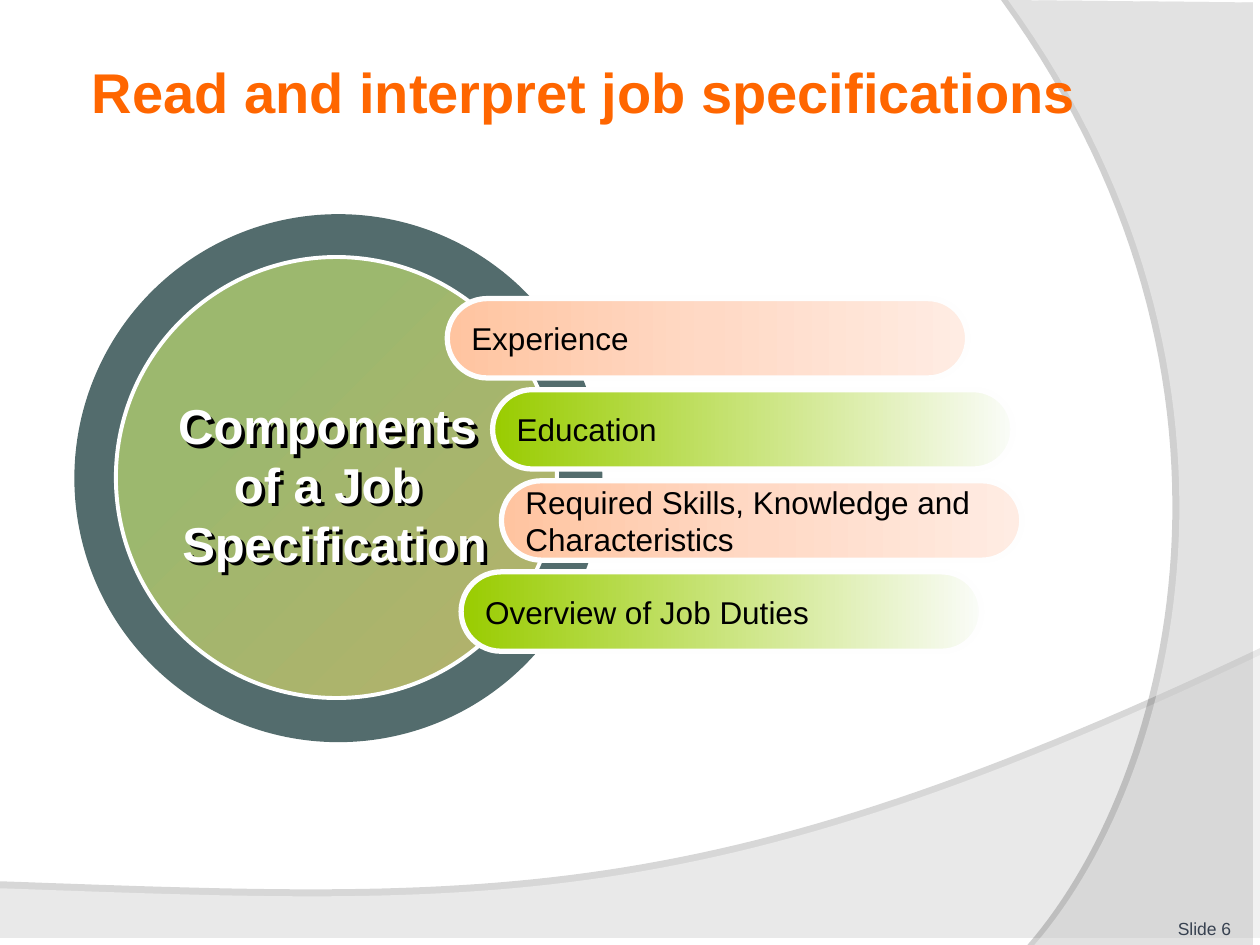
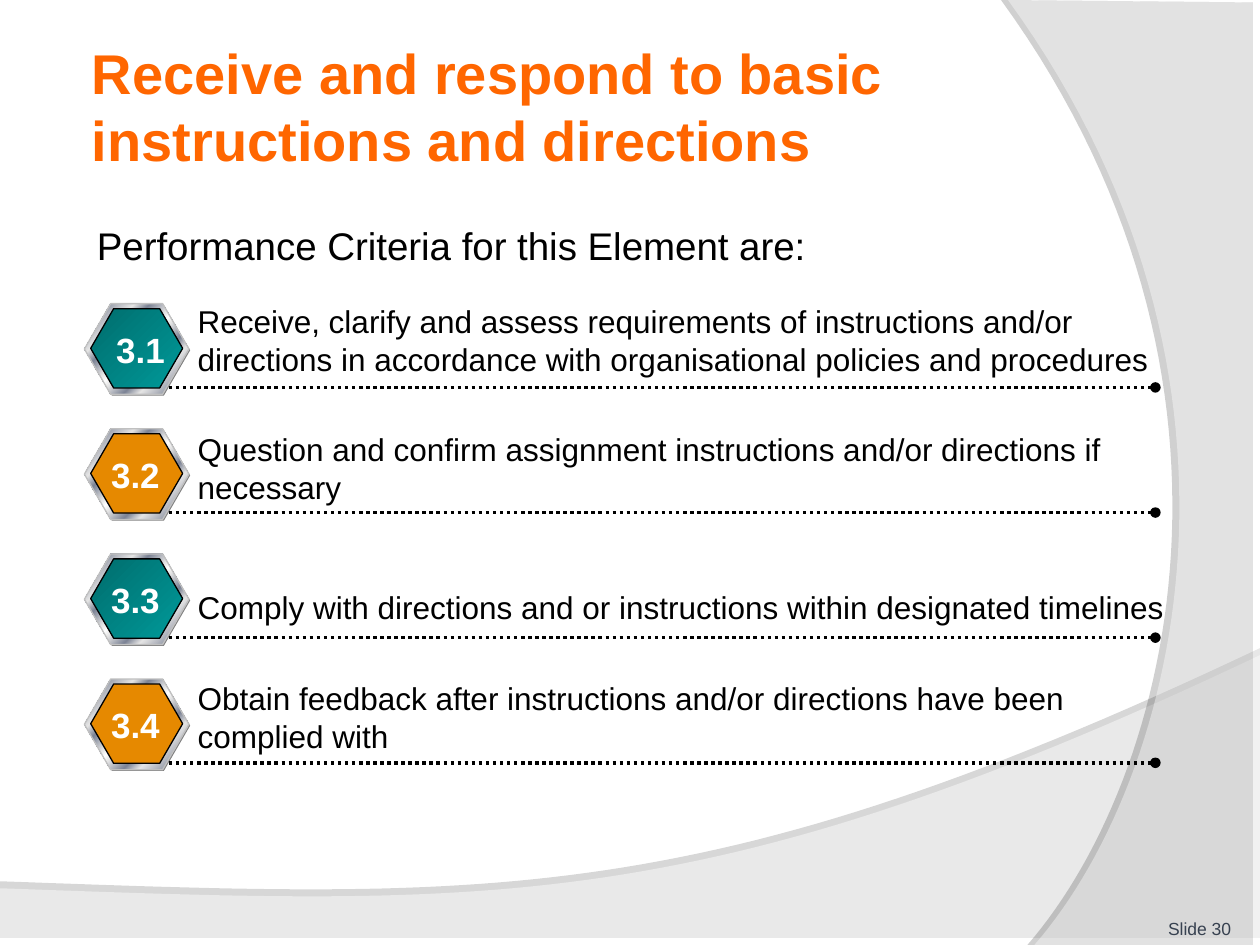
from collections import namedtuple

from lxml import etree
from pptx import Presentation
from pptx.dml.color import RGBColor
from pptx.enum.dml import MSO_LINE
from pptx.enum.shapes import MSO_CONNECTOR, MSO_SHAPE
from pptx.enum.text import MSO_ANCHOR, PP_ALIGN
from pptx.oxml.ns import qn
from pptx.util import Inches, Pt

COLOURS = {
    "white": "FFFFFF", "black": "000000", "title": "FF6600", "footer": "374150",
    "ring": "536C6D", "leaf": "9CB86E", "khaki": "B5B16B", "bar_edge": "FEFEFE",
    "peach": "FFC4A0", "peach_mid": "FFD9C5", "peach_end": "FFECE3",
    "lime": "99CC00", "lime_end": "FAFCF8", "hex_shadow": "808080",
    "hex_edge": "C0C0C0", "silver": "E6E6E6", "steel": "7D8496",
    "teal": "006D6D", "teal_end": "009999", "orange": "E68900",
}
PEACH_FADE = [(0, "peach"), (50, "peach_mid"), (100, "peach_end")]
LIME_FADE = [(0, "lime"), (100, "lime_end")]
DISC_FADE = [(0, "leaf"), (30, "leaf"), (100, "khaki")]
TEAL_FADE = [(0, "teal"), (100, "teal_end")]
METAL = [(0, "silver"), (8, "steel"), (26, "silver"), (34, "steel"),
         (46, "silver"), (50, "white"), (54, "silver"), (66, "steel"),
         (74, "silver"), (92, "steel"), (100, "silver")]

FONT = "Arial"
LEFT, CENTRE, RIGHT = PP_ALIGN.LEFT, PP_ALIGN.CENTER, PP_ALIGN.RIGHT
TOP, MIDDLE, BOTTOM = MSO_ANCHOR.TOP, MSO_ANCHOR.MIDDLE, MSO_ANCHOR.BOTTOM
DONUT, OVAL = MSO_SHAPE.DONUT, MSO_SHAPE.OVAL
PILL, HEXAGON = MSO_SHAPE.ROUNDED_RECTANGLE, MSO_SHAPE.HEXAGON
STRAIGHT, DOTS = MSO_CONNECTOR.STRAIGHT, MSO_LINE.ROUND_DOT

WIDTH, HEIGHT = Inches(10), Inches(7.5)
COLUMNS, ROWS = 100, 75
PLAIN_INSETS = (0.1, 0.05, 0.1, 0.05)
TITLE_INSETS = (0.06, 0.06, 0.04, 0.06)
BODY_INSETS = (0.1, 0.06, 0.14, 0.06)


def across(columns):
    return round(WIDTH * columns / COLUMNS)


def down(rows):
    return round(HEIGHT * rows / ROWS)


class Box(namedtuple("Box", "left top width height")):
    """A rectangle in grid columns and rows."""

    def inner(self, left, top, width, height):
        return Box(self.left + left, self.top + top, width, height)

    def lengths(self):
        return (across(self.left), down(self.top),
                across(self.width), down(self.height))


def rgb(name):
    return RGBColor.from_string(COLOURS[name])


def paint(shape, fill, edge=None, weight=0, angle=0):
    """Fill with a colour name or a list of gradient stops, then outline."""
    shape.shadow.inherit = False
    if isinstance(fill, str):
        shape.fill.solid()
        shape.fill.fore_color.rgb = rgb(fill)
    else:
        shape.fill.gradient()
        gradient = shape.element.spPr.find(qn("a:gradFill"))
        gradient.find(qn("a:lin")).set("ang", str(angle * 60000))
        stops = gradient.find(qn("a:gsLst"))
        for stop in list(stops):
            stops.remove(stop)
        for position, name in fill:
            stop = etree.SubElement(stops, qn("a:gs"), pos=str(position * 1000))
            etree.SubElement(stop, qn("a:srgbClr"), val=COLOURS[name])
    if edge:
        shape.line.color.rgb = rgb(edge)
        shape.line.width = Pt(weight)
    else:
        shape.line.fill.background()


def cast_shadow(shape, opacity, distance, angle):
    shape.shadow.inherit = False
    effects = shape.element.spPr.find(qn("a:effectLst"))
    shadow = etree.SubElement(
        effects, qn("a:outerShdw"), blurRad="0", dist=str(Pt(distance)),
        dir=str(angle * 60000), algn="ctr", rotWithShape="0")
    colour = etree.SubElement(shadow, qn("a:srgbClr"), val=COLOURS["black"])
    etree.SubElement(colour, qn("a:alpha"), val=str(opacity * 1000))


def add_preset(page, kind, box, fill, edge=None, weight=0, angle=0, adjust=None):
    shape = page.shapes.add_shape(kind, *box.lengths())
    if adjust is not None:
        shape.adjustments[0] = adjust
    paint(shape, fill, edge, weight, angle)
    return shape


def write(shape, text, size, colour="black", bold=False, align=LEFT,
          anchor=TOP, wrap=True, insets=PLAIN_INSETS):
    frame = shape.text_frame
    frame.word_wrap = wrap
    frame.vertical_anchor = anchor
    (frame.margin_left, frame.margin_top,
     frame.margin_right, frame.margin_bottom) = map(Inches, insets)
    para = frame.paragraphs[0]
    para.text = text
    para.alignment = align
    para.font.name = FONT
    para.font.size = Pt(size)
    para.font.bold = bold
    para.font.color.rgb = rgb(colour)


def add_text(page, box, text, size, **style):
    shape = page.shapes.add_textbox(*box.lengths())
    write(shape, text, size, **style)
    return shape


def curve(start, pull_start, pull_end, end, steps=60):
    """Points along a cubic Bezier curve."""
    for step in range(steps + 1):
        t = step / steps
        u = 1 - t
        yield tuple(u**3 * a + 3 * u * u * t * b + 3 * u * t * t * c + t**3 * d
                    for a, b, c, d in zip(start, pull_start, pull_end, end))


def add_sweep(page, corners, bend, opacity, shadow_opacity, shadow_angle):
    """Translucent area bounded by straight corners and one curved edge."""
    points = [(across(x), down(y)) for x, y in [*corners, *curve(*bend)]]
    builder = page.shapes.build_freeform(*points[0], scale=1.0)
    builder.add_line_segments(points[1:], close=True)
    sweep = builder.convert_to_shape()
    paint(sweep, "white")
    colour = sweep.element.spPr.find(qn("a:solidFill"))[0]
    etree.SubElement(colour, qn("a:alpha"), val=str(opacity * 1000))
    cast_shadow(sweep, shadow_opacity, 4, shadow_angle)


def add_page(deck, title, title_box, number):
    """Blank page with the shared sweeps, title and footer."""
    page = deck.slides.add_slide(deck.slide_layouts[6])
    add_sweep(page, [(0, 75), (100, 75)],
              [(100, 52), (55.9, 72.9), (39.1, 71.9), (0, 70.5)], 45, 35, 270)
    add_sweep(page, [(100, 0.2), (100, 75)],
              [(82.1, 75), (93.5, 61.9), (101.8, 30), (80, 0)], 40, 45, 180)
    add_text(page, title_box, title, 32, colour="title", bold=True,
             anchor=MIDDLE, insets=TITLE_INSETS)
    add_text(page, Box(89.2, 73, 8.5, 1.5), f"Slide {number}", 10,
             colour="footer", align=RIGHT, anchor=BOTTOM, insets=(0, 0, 0, 0))
    return page


def add_components(page, box, heading, bars):
    """Ringed disc with a heading, and bars fanning out of its right side."""
    diameter = box.height
    add_preset(page, DONUT, box.inner(0, 0, diameter, diameter), "ring",
               adjust=0.09)
    add_preset(page, OVAL, box.inner(3.3, 3.4, 35, 35), DISC_FADE,
               "white", 2.25, angle=45)
    for index, (left, text) in enumerate(bars):
        fade = LIME_FADE if index % 2 else PEACH_FADE
        bar = add_preset(page, PILL, box.inner(left, 6.7 + 7.23 * index, 41.3, 6.3),
                         fade, "bar_edge", 3, adjust=0.5)
        write(bar, text, 18, anchor=MIDDLE, wrap=False)
    label = add_text(page, box.inner(7.1, 13.9, 27.1, 15.1), heading, 28,
                     colour="white", bold=True, align=CENTRE, wrap=False)
    cast_shadow(label, 100, 2.83, 45)


def add_dotted_rule(page, box):
    left, top, width, _ = box.lengths()
    rule = page.shapes.add_connector(STRAIGHT, left, top, left + width, top)
    rule.line.color.rgb = rgb("black")
    rule.line.width = Pt(2)
    rule.line.dash_style = DOTS
    properties = rule.element.spPr
    etree.SubElement(properties.find(qn("a:ln")), qn("a:tailEnd"), type="oval")
    etree.SubElement(properties, qn("a:effectLst"))


def add_criterion(page, box, fill, number, number_left, text, text_top):
    """Numbered metal-rimmed hexagon, dotted rule and criterion text."""
    hexagons = [
        (box.inner(0.1, 0.1, 8.3, 7.2), "hex_shadow", None),
        (box.inner(0, 0, 8.3, 7.2), METAL, "hex_edge"),
        (box.inner(0.5, 0.4, 7.3, 6.3), fill, "black"),
    ]
    for place, hexagon_fill, edge in hexagons:
        add_preset(page, HEXAGON, place, hexagon_fill, edge, 0.75,
                   angle=45, adjust=0.29)
    add_dotted_rule(page, box.inner(6.7, 6.65, 78.3, 0))
    add_text(page, box.inner(8, text_top, 79.4, box.height - text_top), text, 18)
    add_text(page, box.inner(number_left, 1.45, 5.9, 4.4), number, 20,
             colour="white", bold=True, align=CENTRE, wrap=False)


def add_criteria(page, box, intro, criteria):
    add_text(page, box.inner(0, 0, box.width, 5), intro, 22, insets=BODY_INSETS)
    for index, (number, number_left, text, text_top) in enumerate(criteria):
        row = box.inner(0, 7.1 + 9.93 * index, box.width, 6.6)
        fill = "orange" if index % 2 else TEAL_FADE
        add_criterion(page, row, fill, number, number_left, text, text_top)


def main():
    deck = Presentation()
    deck.slide_width, deck.slide_height = WIDTH, HEIGHT

    page = add_page(deck, "Read and interpret job specifications",
                    Box(6.7, 3.6, 81.7, 7.2), 6)
    add_components(page, Box(5.9, 17, 75.2, 41.9),
                   "Components \nof a Job \nSpecification", [
        (29.6, "Experience"),
        (33.2, "Education"),
        (33.9, "Required Skills, Knowledge and \nCharacteristics"),
        (30.7, "Overview of Job Duties"),
    ])

    page = add_page(deck, "Receive and respond to basic instructions and directions",
                    Box(6.7, 2.8, 85.1, 11.1), 30)
    add_criteria(page, Box(6.7, 17, 85.1, 53.5),
                 "Performance Criteria for this Element are:", [
        ("3.1", 1.5, "Receive, clarify and assess requirements of instructions "
         "and/or directions in accordance with organisational policies and "
         "procedures", -0.6),
        ("3.2", 1.1, "Question and confirm assignment instructions and/or "
         "directions if necessary", -0.4),
        ("3.3", 1.1, "Comply with directions and or instructions within "
         "designated timelines", 2.2),
        ("3.4", 1.1, "Obtain feedback after instructions and/or directions "
         "have been complied with", -0.5),
    ])
    deck.save("out.pptx")


if __name__ == "__main__":
    main()
